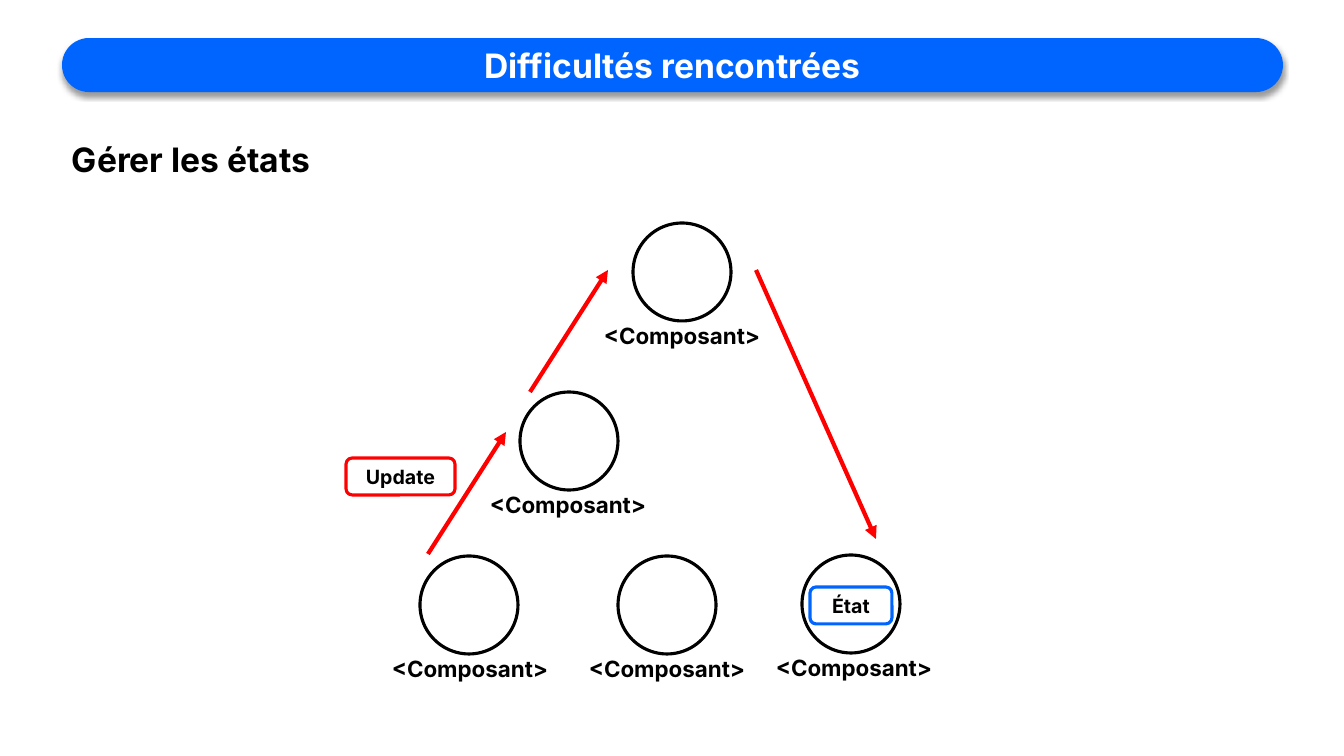
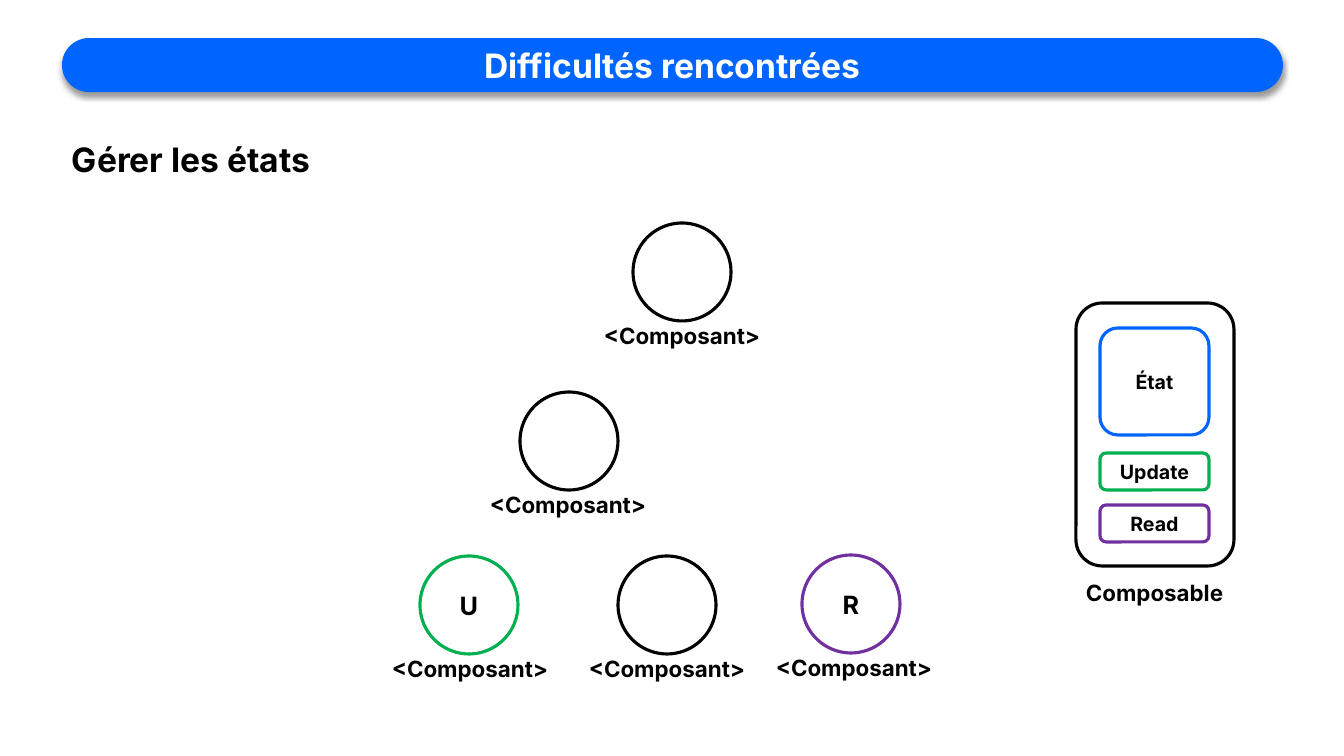
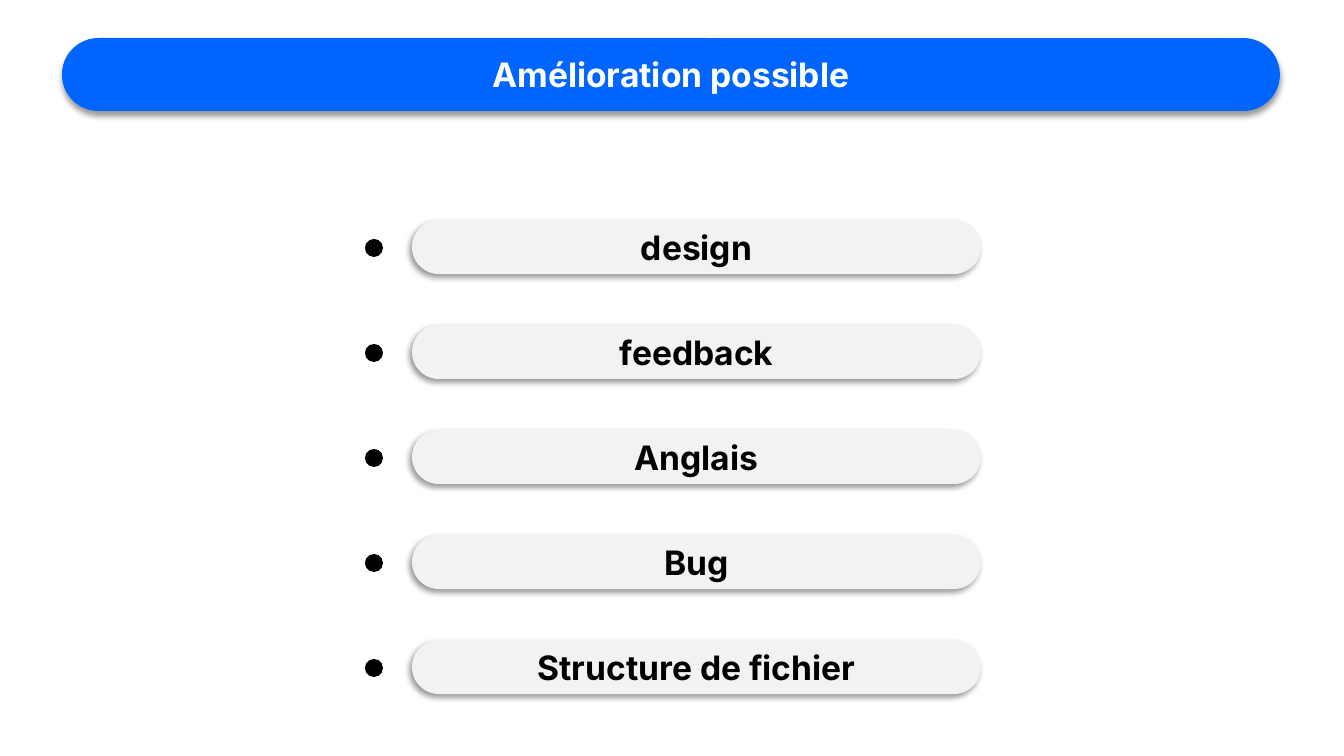
from dataclasses import dataclass

from lxml import etree
from pptx import Presentation
from pptx import util as u
from pptx.dml.color import RGBColor
from pptx.enum import shapes, text
from pptx.oxml import ns

COLORS = {
    "blue": "0065FF", "red": "FF0000", "green": "00B050", "purple": "7030A0",
    "black": "000000", "white": "FFFFFF", "gray": "F2F2F2",
}
FONT = "Inter"
SCALE = 914400 / 100.8
OVAL = shapes.MSO_SHAPE.OVAL
ROUND = shapes.MSO_SHAPE.ROUNDED_RECTANGLE
LEFT, MID = text.PP_ALIGN.LEFT, text.PP_ALIGN.CENTER

SIZE = 98
BAND = (62, 38)
PILL = 54
ROWS = ("design", "feedback", "Anglais", "Bug", "Structure de fichier")
ROW_TOP, ROW_STEP = 220, 105
DOT = 18


@dataclass(frozen=True)
class Area:
    x: int
    y: int
    w: int
    h: int

    def emu(self) -> list[u.Emu]:
        return [px(n) for n in (self.x, self.y, self.w, self.h)]


@dataclass(frozen=True)
class Node:
    """A component circle, with the left edge of its label."""
    x: int
    y: int
    tag: int


@dataclass(frozen=True)
class Box:
    label: str
    area: Area
    color: str


@dataclass(frozen=True)
class Arrow:
    x1: int
    y1: int
    x2: int
    y2: int


RIGHT = Node(802, 555, 766)
START = Node(420, 556, 382)
NODES = (RIGHT, START, Node(618, 556, 579), Node(520, 392, 480),
         Node(633, 223, 594))
ARROWS = (Arrow(428, 554, 506, 432), Arrow(530, 392, 608, 270),
          Arrow(756, 270, 876, 539))
CLIMB = (Box("État", Area(810, 587, 82, 37), "blue"),
         Box("Update", Area(346, 458, 109, 37), "red"))
STORE = (Box("État", Area(1100, 328, 109, 107), "blue"),
         Box("Update", Area(1100, 453, 109, 37), "green"),
         Box("Read", Area(1100, 505, 109, 37), "purple"),
         Box("", Area(1076, 303, 158, 263), "black"))


def px(n: int) -> u.Emu:
    return u.Emu(round(n * SCALE))


def rgb(name: str) -> RGBColor:
    return RGBColor.from_string(COLORS[name])


def write(frame, words: str, size: int, color: str = "black", align=MID) -> None:
    frame.word_wrap = True
    para = frame.paragraphs[0]
    para.text = words
    para.alignment = align
    font = para.font
    font.name, font.size, font.bold = FONT, u.Pt(size), True
    font.color.rgb = rgb(color)


def label(slide, words: str, area: Area, size: int = 16) -> None:
    frame = slide.shapes.add_textbox(*area.emu()).text_frame
    frame.auto_size = text.MSO_AUTO_SIZE.SHAPE_TO_FIT_TEXT
    write(frame, words, size, align=LEFT)


def solid(slide, kind, area: Area, fill: str):
    shape = slide.shapes.add_shape(kind, *area.emu())
    shape.shadow.inherit = False
    shape.fill.solid()
    shape.fill.fore_color.rgb = rgb(fill)
    shape.line.fill.background()
    return shape


def hollow(slide, kind, area: Area, color: str, words: str = "",
           size: int = 14) -> None:
    shape = slide.shapes.add_shape(kind, *area.emu())
    shape.shadow.inherit = False
    shape.fill.background()
    shape.line.color.rgb = rgb(color)
    shape.line.width = u.Pt(2.25)
    if words:
        frame = shape.text_frame
        frame.vertical_anchor = text.MSO_ANCHOR.MIDDLE
        write(frame, words, size)


def shade(shape, angle: int) -> None:
    """Drop a soft black shadow towards the angle, in degrees."""
    shape.shadow.inherit = False
    effects = shape.element.spPr.find(ns.qn("a:effectLst"))
    drop = etree.SubElement(
        effects, ns.qn("a:outerShdw"), blurRad=str(u.Pt(4)), dist=str(u.Pt(3)),
        dir=str(angle * 60000), algn="t" if angle == 90 else "tr",
        rotWithShape="0")
    tint = etree.SubElement(drop, ns.qn("a:srgbClr"), val=COLORS["black"])
    etree.SubElement(tint, ns.qn("a:alpha"), val="40000")


def pill(slide, words: str, area: Area, fill: str, ink: str, angle: int) -> None:
    shape = solid(slide, ROUND, area, fill)
    shape.adjustments[0] = 0.5
    shade(shape, angle)
    shape.text_frame.vertical_anchor = text.MSO_ANCHOR.MIDDLE
    write(shape.text_frame, words, 24, ink)


def band(slide, title: str, wide: int = 1221, high: int = PILL) -> None:
    pill(slide, title, Area(*BAND, wide, high), "blue", "white", 90)


def arrow(slide, way: Arrow) -> None:
    ends = [px(n) for n in (way.x1, way.y1, way.x2, way.y2)]
    line = slide.shapes.add_connector(shapes.MSO_CONNECTOR.STRAIGHT, *ends)
    line.line.color.rgb = rgb("red")
    line.line.width = u.Pt(3)
    etree.SubElement(line.get_or_add_ln(), ns.qn("a:tailEnd"), type="triangle")
    etree.SubElement(line.element.spPr, ns.qn("a:effectLst"))


def tree(slide, marks: dict[Node, tuple[str, str]]) -> None:
    """Draw the component tree; marks gives a letter and colour to some nodes."""
    band(slide, "Difficultés rencontrées")
    label(slide, "Gérer les états", Area(62, 134, 401, 50), 24)
    for node in NODES:
        words, color = marks.get(node, ("", "black"))
        hollow(slide, OVAL, Area(node.x, node.y, SIZE, SIZE), color, words, 18)
        label(slide, "<Composant>", Area(node.tag, node.y + 94, 179, 37))


def boxes(slide, items: tuple[Box, ...]) -> None:
    for item in items:
        hollow(slide, ROUND, item.area, item.color, item.label)


def climb(slide) -> None:
    tree(slide, {})
    for way in ARROWS:
        arrow(slide, way)
    boxes(slide, CLIMB)


def store(slide) -> None:
    tree(slide, {RIGHT: ("R", "purple"), START: ("U", "green")})
    boxes(slide, STORE)
    label(slide, "Composable", Area(1076, 574, 158, 37))


def plans(slide) -> None:
    band(slide, "Amélioration possible", 1218, 73)
    for i, words in enumerate(ROWS):
        top = ROW_TOP + i * ROW_STEP
        pill(slide, words, Area(412, top, 569, PILL), "gray", "black", 135)
        solid(slide, OVAL, Area(365, top + (PILL + 1 - DOT) // 2 + 1, DOT, DOT),
              "black")


def main() -> None:
    deck = Presentation()
    deck.slide_width, deck.slide_height = px(1344), px(756)
    for draw in (climb, store, plans):
        draw(deck.slides.add_slide(deck.slide_layouts[6]))
    deck.save("out.pptx")


if __name__ == "__main__":
    main()
